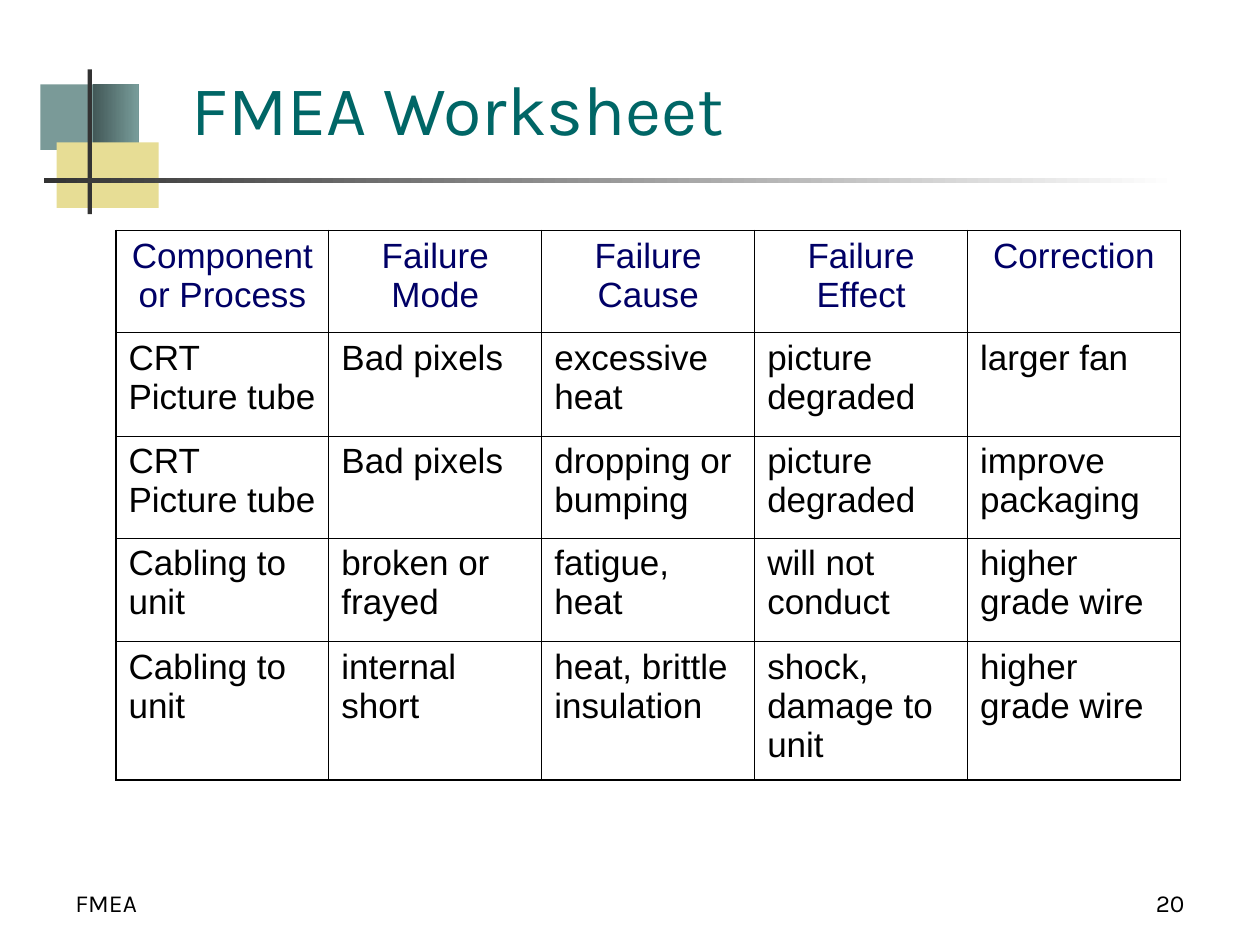
import dataclasses
import itertools

import lxml.etree
import pptx
import pptx.dml.color
import pptx.enum.shapes
import pptx.enum.text
import pptx.oxml.ns
import pptx.util

ALIGN = pptx.enum.text.PP_ALIGN
ANCHOR = pptx.enum.text.MSO_ANCHOR


@dataclasses.dataclass(frozen=True)
class Theme:
    heading_font: str = "Karla"
    table_font: str = "Arial"
    title_size: int = 40
    table_size: int = 20
    footer_size: int = 14
    title: str = "006666"
    header: str = "000066"
    ink: str = "000000"
    teal: str = "7A9A98"
    teal_dark: str = "435958"
    teal_light: str = "789C9A"
    sand: str = "E7DD95"
    bar: str = "333333"
    paper: str = "FFFFFF"
    outer_line: float = 1.08
    inner_line: float = 0.45


THEME = Theme()
GRID_COLUMNS, GRID_ROWS = 100, 75
CELL = pptx.util.Inches(0.1)

WORKSHEET = [
    ["Component or Process", "Failure Mode", "Failure Cause", "Failure Effect", "Correction"],
    ["CRT Picture tube", "Bad pixels", "excessive heat", "picture degraded", "larger fan"],
    ["CRT Picture tube", "Bad pixels", "dropping or bumping", "picture degraded", "improve packaging"],
    ["Cabling to unit", "broken or frayed", "fatigue, heat", "will not conduct", "higher grade wire"],
    ["Cabling to unit", "internal short", "heat, brittle insulation", "shock, damage to unit",
     "higher grade wire"],
]
COLUMN_WIDTH = 16.9
ROW_HEIGHTS = [8.1, 8.2, 8.1, 8.2, 11]


def on_grid(*lengths):
    return [round(length * CELL) for length in lengths]


def rgb(color):
    return pptx.dml.color.RGBColor.from_string(color)


def write(frame, text, font, size, color, align=ALIGN.LEFT):
    frame.text = text
    paragraph = frame.paragraphs[0]
    paragraph.alignment = align
    for run in paragraph.runs:
        run.font.name = font
        run.font.size = pptx.util.Pt(size)
        run.font.color.rgb = rgb(color)
    return paragraph


def add_block(slide, area, *colors):
    block = slide.shapes.add_shape(pptx.enum.shapes.MSO_SHAPE.RECTANGLE, *on_grid(*area))
    block.shadow.inherit = False
    block.line.fill.background()
    if len(colors) == 1:
        block.fill.solid()
        block.fill.fore_color.rgb = rgb(colors[0])
    else:
        block.fill.gradient()
        block.fill.gradient_angle = 0
        for stop, color in zip(block.fill.gradient_stops, colors):
            stop.color.rgb = rgb(color)


def add_ornament(slide):
    add_block(slide, (3.2, 6.7, 4.8, 5.2), THEME.teal)
    add_block(slide, (7.4, 6.7, 3.6, 5.2), THEME.teal_dark, THEME.teal_light)
    add_block(slide, (4.5, 11.3, 8.1, 5.2), THEME.sand)
    add_block(slide, (6.95, 5.5, 0.35, 11.5), THEME.bar)
    add_block(slide, (3.5, 14.15, 90, 0.4), THEME.bar, THEME.paper)


def set_title(slide, text):
    title = slide.shapes.title
    title.left, title.top, title.width, title.height = on_grid(14.2, 3.3, 80.8, 9.1)
    frame = title.text_frame
    frame.auto_size = pptx.enum.text.MSO_AUTO_SIZE.NONE
    frame.vertical_anchor = ANCHOR.BOTTOM
    write(frame, text, THEME.heading_font, THEME.title_size, THEME.title)


def set_borders(cell, outer_sides):
    properties = cell._tc.get_or_add_tcPr()
    for side in "LRTB":
        width = THEME.outer_line if side in outer_sides else THEME.inner_line
        line = lxml.etree.SubElement(
            properties, pptx.oxml.ns.qn(f"a:ln{side}"), w=str(pptx.util.Pt(width)))
        fill = lxml.etree.SubElement(line, pptx.oxml.ns.qn("a:solidFill"))
        lxml.etree.SubElement(fill, pptx.oxml.ns.qn("a:srgbClr"), val=THEME.ink)


def add_worksheet(slide, rows):
    row_count, column_count = len(rows), len(rows[0])
    area = on_grid(9.2, 18.3, COLUMN_WIDTH * column_count, sum(ROW_HEIGHTS))
    table = slide.shapes.add_table(row_count, column_count, *area).table
    table.first_row = table.horz_banding = False
    for column in table.columns:
        column.width = on_grid(COLUMN_WIDTH)[0]
    for row, height in zip(table.rows, ROW_HEIGHTS):
        row.height = on_grid(height)[0]
    for r, c in itertools.product(range(row_count), range(column_count)):
        cell = table.cell(r, c)
        edges = {"L": c == 0, "R": c == column_count - 1, "T": r == 0, "B": r == row_count - 1}
        set_borders(cell, [side for side, is_outer in edges.items() if is_outer])
        cell.fill.background()
        color, align = (THEME.header, ALIGN.CENTER) if r == 0 else (THEME.ink, ALIGN.LEFT)
        paragraph = write(cell.text_frame, rows[r][c], THEME.table_font, THEME.table_size,
                          color, align)
        paragraph.space_before = pptx.util.Pt(5)


def add_footer(slide, left, text, align):
    frame = slide.shapes.add_textbox(*on_grid(left, 68.3, 23.3, 5)).text_frame
    frame.word_wrap = True
    frame.vertical_anchor = ANCHOR.BOTTOM
    write(frame, text, THEME.heading_font, THEME.footer_size, THEME.ink, align)


def main():
    deck = pptx.Presentation()
    deck.slide_width, deck.slide_height = GRID_COLUMNS * CELL, GRID_ROWS * CELL
    slide = deck.slides.add_slide(deck.slide_layouts.get_by_name("Title Only"))
    add_ornament(slide)
    set_title(slide, "FMEA Worksheet")
    add_worksheet(slide, WORKSHEET)
    add_footer(slide, 5, "FMEA", ALIGN.LEFT)
    add_footer(slide, 71.7, "20", ALIGN.RIGHT)
    deck.save("out.pptx")


if __name__ == "__main__":
    main()
